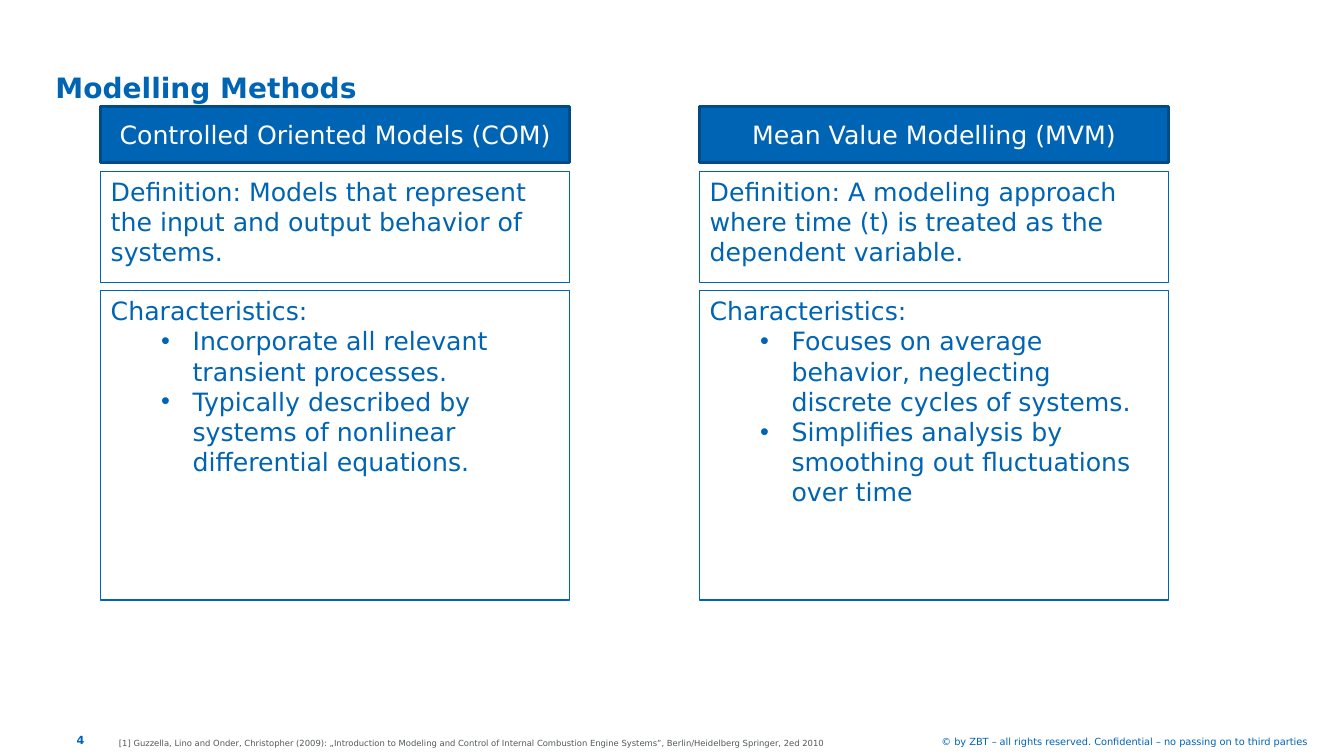
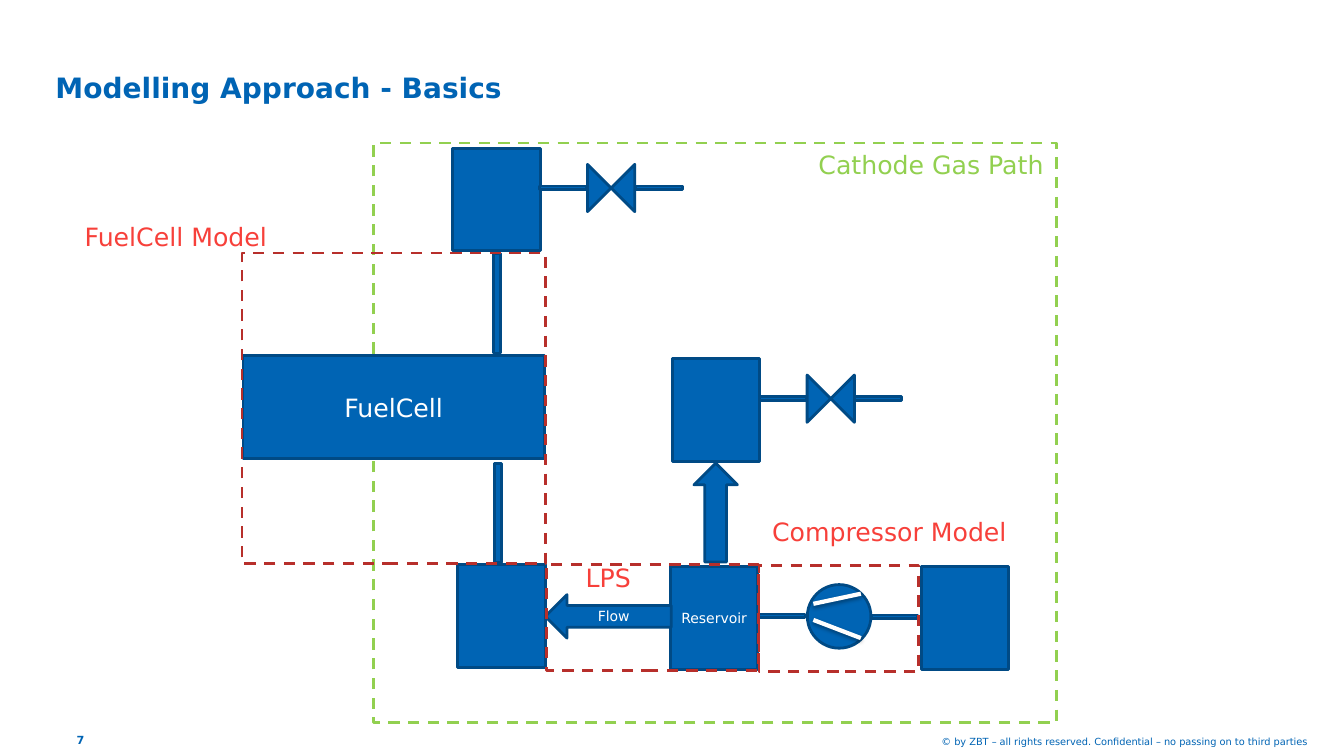
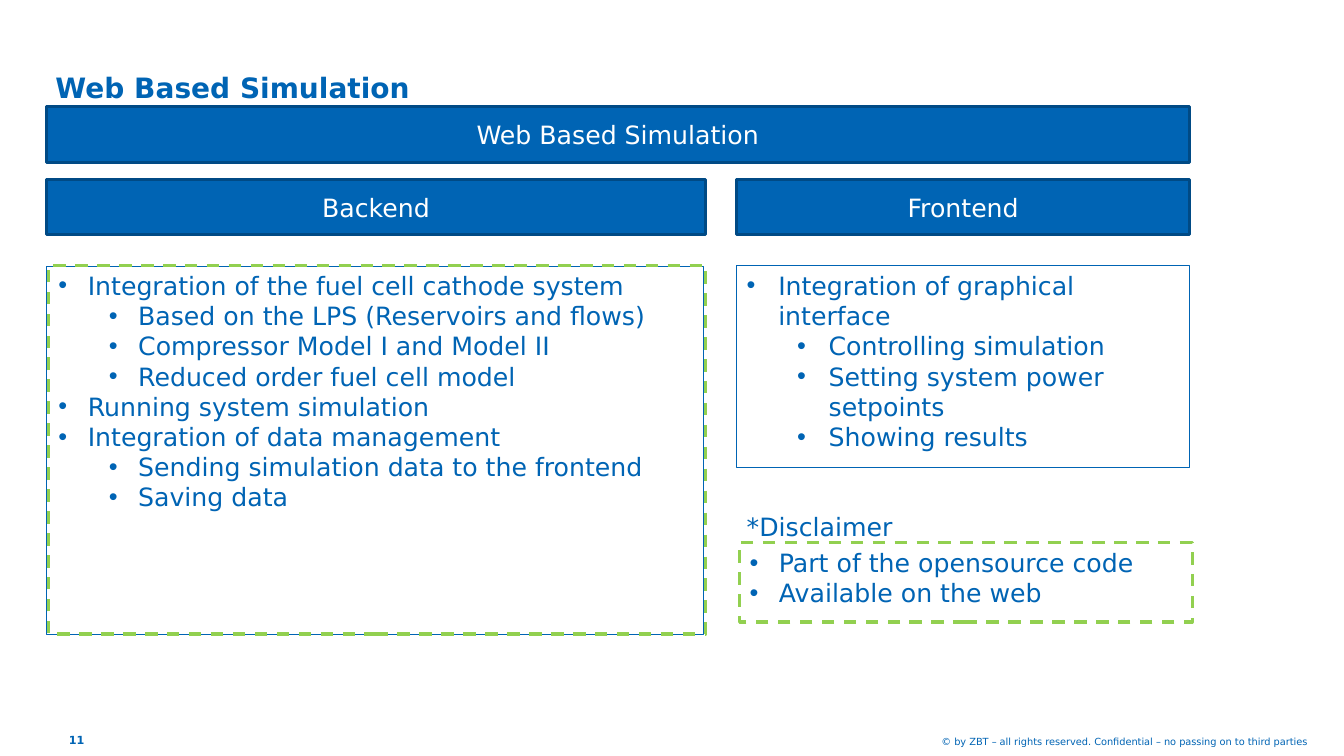
from dataclasses import dataclass
from typing import Optional

from lxml import etree
from pptx import Presentation
from pptx import util as u
from pptx.dml.color import RGBColor
from pptx.enum import dml, shapes, text
from pptx.oxml.ns import qn

FONT = "DejaVu Sans"
BLUE, NAVY, WHITE, GREY = "0064B4", "004A85", "FFFFFF", "54585A"
GREEN, RED, DARK_RED = "92D050", "F7403A", "B72F2B"
COPYRIGHT = "© by ZBT – all rights reserved. Confidential – no passing on to third parties"
CITATION = ("[1] Guzzella, Lino and Onder, Christopher (2009): „Introduction to Modeling and Control "
            "of Internal Combustion Engine Systems”, Berlin/Heidelberg Springer, 2ed 2010")
G, AL, ANC = shapes.MSO_SHAPE, text.PP_ALIGN, text.MSO_ANCHOR
LEVEL_STEP = 36
HEAD_Y, HEAD_H = 76.3, 39.6
TANK_W, TANK_H = 62.6, 73.4
PIPE_W, PIPE_H = 45.4, 11.5
VALVE = 33.8


@dataclass
class Para:
    text: str
    level: Optional[int] = None  # None means no bullet
    before: float = 0


@dataclass
class Style:
    size: float = 18
    color: str = BLUE
    bold: bool = False
    align: AL = AL.LEFT
    anchor: ANC = ANC.TOP
    hang: float = 22.5
    spacing: Optional[float] = None


@dataclass
class Box:
    x: float
    y: float
    w: float
    h: float
    kind: G = G.RECTANGLE
    fill: Optional[str] = BLUE
    line: str = NAVY
    weight: float = 2
    dashed: bool = False
    rot: float = 0


@dataclass
class Label:
    x: float
    y: float
    w: float
    text: str
    color: str = RED


CENTERED = Style(color=WHITE, align=AL.CENTER, anchor=ANC.MIDDLE)
SMALL_CENTERED = Style(10, WHITE, align=AL.CENTER, anchor=ANC.MIDDLE)


def rgb(color: str) -> RGBColor:
    return RGBColor.from_string(color)


def add_bullet(p, level: int, hang: float) -> None:
    p.level = level
    pPr = p._p.get_or_add_pPr()
    pPr.set("marL", str(int(u.Pt(hang + LEVEL_STEP * level))))
    pPr.set("indent", str(-int(u.Pt(hang))))
    etree.SubElement(pPr, qn("a:buFont")).set("typeface", "Arial")
    etree.SubElement(pPr, qn("a:buChar")).set("char", "•")


def write(tf, paras: list[Para], style: Style) -> None:
    tf.word_wrap = True
    tf.vertical_anchor = style.anchor
    for i, para in enumerate(paras):
        p = tf.paragraphs[0] if i == 0 else tf.add_paragraph()
        p.alignment = style.align
        if style.spacing:
            p.line_spacing = style.spacing
        if para.before:
            p.space_before = u.Pt(para.before)
        if para.level is not None:
            add_bullet(p, para.level, style.hang)
        r = p.add_run()
        r.text = para.text
        r.font.name, r.font.size, r.font.bold = FONT, u.Pt(style.size), style.bold
        r.font.color.rgb = rgb(style.color)


def add_box(parent, b: Box, paras: Optional[list[Para]] = None, style: Style = CENTERED):
    sp = parent.add_shape(b.kind, u.Pt(b.x), u.Pt(b.y), u.Pt(b.w), u.Pt(b.h))
    sp.shadow.inherit = False
    sp.rotation = b.rot
    if b.fill:
        sp.fill.solid()
        sp.fill.fore_color.rgb = rgb(b.fill)
    else:
        sp.fill.background()
    sp.line.color.rgb = rgb(b.line)
    sp.line.width = u.Pt(b.weight)
    if b.dashed:
        sp.line.dash_style = dml.MSO_LINE.DASH
    if paras:
        write(sp.text_frame, paras, style)
    return sp


def add_text(s, x: float, y: float, w: float, h: float, words: str, style: Style):
    tf = s.shapes.add_textbox(u.Pt(x), u.Pt(y), u.Pt(w), u.Pt(h)).text_frame
    tf.margin_left = tf.margin_top = tf.margin_right = tf.margin_bottom = 0
    write(tf, [Para(words)], style)
    return tf


def header(s, x: float, y: float, w: float, words: str) -> None:
    add_box(s.shapes, Box(x, y, w, HEAD_H), [Para(words)])


def panel(s, x: float, y: float, w: float, h: float, paras: Optional[list[Para]] = None) -> None:
    add_box(s.shapes, Box(x, y, w, h, fill=None, line=BLUE, weight=0.75), paras, Style())


def dashed_panel(s, x: float, y: float, w: float, h: float, paras: list[Para]) -> None:
    b = Box(x, y, w, h, fill=None, line=GREEN, weight=2.25, dashed=True)
    add_box(s.shapes, b, paras, Style(hang=21))


def new_slide(prs, title: str, number: int):
    """Title, page number and copyright line shared by all slides."""
    s = prs.slides.add_slide(prs.slide_layouts[5])
    sp = s.shapes.title
    sp.left, sp.top, sp.width, sp.height = u.Pt(32.4), u.Pt(34.6), u.Pt(733.7), u.Pt(55.4)
    write(sp.text_frame, [Para(title)], Style(20, bold=True, anchor=ANC.MIDDLE))
    add_text(s, 33.8, 524.2, 26.6, 9.4, str(number),
             Style(8, bold=True, align=AL.RIGHT, anchor=ANC.BOTTOM))
    tf = add_text(s, 664.6, 525.6, 269.3, 8.6, COPYRIGHT,
                  Style(7, align=AL.RIGHT, anchor=ANC.BOTTOM))
    tf.word_wrap = False
    return s


def methods_slide(prs) -> None:
    s = new_slide(prs, "Modelling Methods", 4)
    add_text(s, 85, 517.7, 509, 16.6, CITATION,
             Style(6, GREY, anchor=ANC.BOTTOM, spacing=1.2))
    columns = [
        ("Controlled Oriented Models (COM)",
         "Definition: Models that represent the input and output behavior of systems.",
         ["Incorporate all relevant transient processes.",
          "Typically described by systems of nonlinear differential equations."]),
        ("Mean Value Modelling (MVM)",
         "Definition: A modeling approach where time (t) is treated as the dependent variable.",
         ["Focuses on average behavior, neglecting discrete cycles of systems.",
          "Simplifies analysis by smoothing out fluctuations over time"]),
    ]
    w = 334.8
    for i, (name, definition, traits) in enumerate(columns):
        x = 72 + i * 427.8
        header(s, x, HEAD_Y, w, name)
        panel(s, x, 122.4, w, 79.2, [Para(definition)])
        panel(s, x, 207.4, w, 221.2,
              [Para("Characteristics:")] + [Para(t, 1) for t in traits])


def pipe(parent, x: float, y: float) -> None:
    add_box(parent, Box(x, y, PIPE_W, PIPE_H, G.MATH_MINUS))


def tank(s, x: float, y: float, words: str = "") -> None:
    add_box(s.shapes, Box(x, y, TANK_W, TANK_H), [Para(words)] if words else None, SMALL_CENTERED)


def valve_branch(s, x: float, y: float) -> None:
    """Tank with an outlet pipe through a valve."""
    tank(s, x, y)
    add_box(s.shapes, Box(x + 96.3, y + 11.6, VALVE, VALVE, G.FLOWCHART_COLLATE, rot=90))
    for dx in (56.2, 124.6):
        pipe(s.shapes, x + dx, y + 22.7)


def compressor(s) -> None:
    grp = s.shapes.add_group_shape().shapes
    add_box(grp, Box(576.7, 417.6, 45.4, 45.4, G.FLOWCHART_CONNECTOR))
    for y1, y2 in ((431.3, 424.1), (442.8, 455.8)):
        blade = grp.add_connector(shapes.MSO_CONNECTOR.STRAIGHT,
                                  u.Pt(581), u.Pt(y1), u.Pt(614.9), u.Pt(y2))
        blade.line.color.rgb = rgb(WHITE)
        blade.line.width = u.Pt(3)
    pipe(grp, 616.3, 434.9)
    pipe(grp, 535.7, 434.2)


def approach_slide(prs) -> None:
    s = new_slide(prs, "Modelling Approach - Basics", 7)

    def frame(x: float, y: float, w: float, h: float, color: str = DARK_RED) -> None:
        add_box(s.shapes, Box(x, y, w, h, fill=None, line=color, dashed=True))

    # Components
    frame(267.1, 102.2, 487.4, 414, GREEN)
    tank(s, 478.8, 404.6, "Reservoir")
    add_box(s.shapes, Box(389.5, 424.8, 90, 31, G.LEFT_ARROW), [Para("Flow")], SMALL_CENTERED)
    compressor(s)
    tank(s, 658.1, 404.6)
    add_box(s.shapes, Box(475.9, 350.6, 70.6, 31, G.LEFT_ARROW, rot=90))
    valve_branch(s, 480.2, 256.3)
    add_box(s.shapes, Box(173.5, 254.2, 215.3, TANK_H), [Para("FuelCell")])
    tank(s, 326.9, 403.2)
    for x, y in ((307.4, 355.7), (306.7, 205.9)):
        add_box(s.shapes, Box(x, y, 96.5, 21.6, G.MATH_MINUS, rot=90))
    valve_branch(s, 323.3, 105.8)

    # Model boundaries and their names
    frame(542.2, 403.9, 113.8, 75.6)
    frame(390.2, 403.2, 151.9, 75.6)
    frame(172.8, 180.7, 216.7, 221.8)
    for lb in (Label(584.6, 106.6, 170, "Cathode Gas Path", GREEN),
               Label(551.5, 368.6, 170, "Compressor Model"),
               Label(418.3, 401.8, 36, "LPS"),
               Label(60.5, 158.4, 170, "FuelCell Model")):
        add_text(s, lb.x, lb.y, lb.w, 21.6, lb.text, Style(color=lb.color, anchor=ANC.BOTTOM))


def simulation_slide(prs) -> None:
    s = new_slide(prs, "Web Based Simulation", 11)
    left, right, right_w = 33.1, 526.3, 323.3
    header(s, left, HEAD_Y, right + right_w - left, "Web Based Simulation")
    header(s, left, 128.2, 470.9, "Backend")
    header(s, right, 128.2, right_w, "Frontend")
    panel(s, right, 189.4, right_w, 144.7, [
        Para("Integration of graphical interface", 0),
        Para("Controlling simulation", 1),
        Para("Setting system power setpoints", 1),
        Para("Showing results", 1),
        Para("*Disclaimer", before=43),
    ])
    panel(s, left, 190.1, 469.4, 263.5)
    dashed_panel(s, left + 1.5, 189.4, 469.4, 263.5, [
        Para("Integration of the fuel cell cathode system", 0),
        Para("Based on the LPS (Reservoirs and flows)", 1),
        Para("Compressor Model I and Model II", 1),
        Para("Reduced order fuel cell model", 1),
        Para("Running system simulation", 0),
        Para("Integration of data management", 0),
        Para("Sending simulation data to the frontend", 1),
        Para("Saving data", 1),
    ])
    dashed_panel(s, right + 2, 387.4, right_w, 56.9, [
        Para("Part of the opensource code", 0),
        Para("Available on the web", 0),
    ])


def main() -> None:
    prs = Presentation()
    prs.slide_width, prs.slide_height = u.Pt(960), u.Pt(540)
    methods_slide(prs)
    approach_slide(prs)
    simulation_slide(prs)
    prs.save("out.pptx")


if __name__ == "__main__":
    main()
